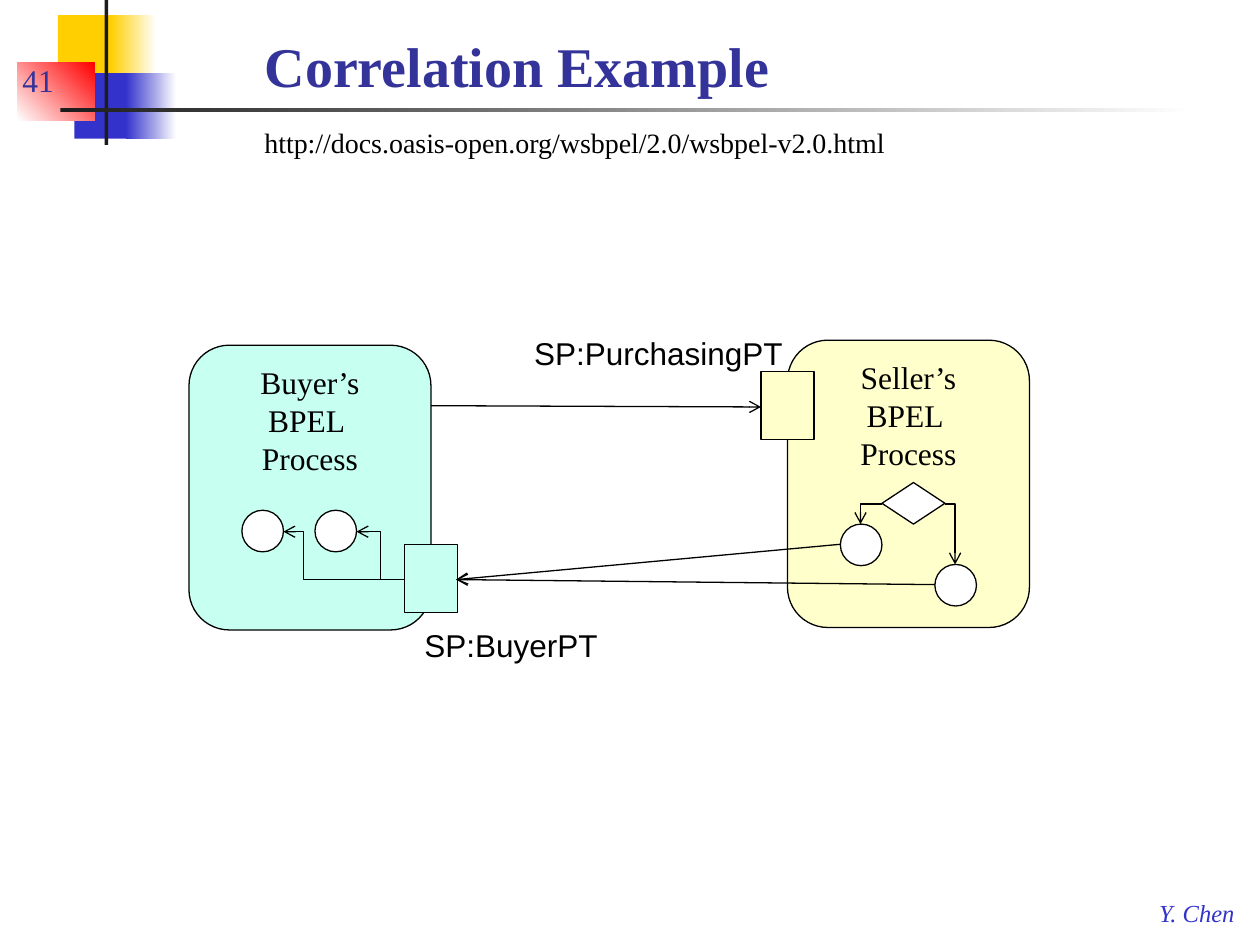
"""Build the Correlation Example slide with its two BPEL processes."""
from lxml.etree import SubElement
from pptx import Presentation
from pptx.dml.color import RGBColor
from pptx.enum.shapes import MSO_CONNECTOR, MSO_SHAPE
from pptx.enum.text import MSO_ANCHOR, MSO_AUTO_SIZE, PP_ALIGN
from pptx.oxml.ns import qn
from pptx.util import Inches, Pt

BLACK, WHITE, INK = "000000", "FFFFFF", "1C1C1C"
GOLD, BLUE, RED, NAVY = "FFCF01", "3333CC", "FF0000", "333399"
MINT, CREAM = "C7FFF0", "FFFFCC"
SERIF, SANS = "Times New Roman", "Arial"

TITLE = ("Correlation Example", (2, 0.15, 6.83, 0.68))
DECORATION = [
    ((0.46, 0.12, 0.48, 0.52), (GOLD,), 0),
    ((0.88, 0.12, 0.36, 0.52), (GOLD, WHITE), 0),
    ((0.59, 0.58, 0.46, 0.52), (BLUE,), 0),
    ((1, 0.58, 0.4, 0.52), (BLUE, WHITE), 0),
    ((0.14, 0.5, 0.61, 0.46), (WHITE, RED), 45),
    ((0.83, 0, 0.03, 1.15), (INK,), 0),
    ((0.48, 0.86, 9, 0.03), (INK, WHITE), 0),
]
LABELS = [
    ("Y. Chen", (9.1, 7.08, 0.82, 0.33), dict(size=14, color=BLUE, italic=True, wrap=False)),
    ("41", (0.08, 0.33, 0.78, 0.5), dict(color=NAVY, anchor=MSO_ANCHOR.BOTTOM, grow=False)),
    ("http://docs.oasis-open.org/wsbpel/2.0/wsbpel-v2.0.html", (2, 0.95, 7.33, 0.37), dict(size=16)),
    ("SP:PurchasingPT", (4.14, 2.6, 2.19, 0.4), dict(font=SANS, wrap=False)),
    ("SP:BuyerPT", (3.27, 4.92, 1.59, 0.4), dict(font=SANS, wrap=False)),
]
PROCESSES = [
    ("Buyer’s\nBPEL \nProcess", (1.5, 2.74, 1.92, 2.26), MINT),
    ("Seller’s\nBPEL \nProcess", (6.25, 2.7, 1.92, 2.28), CREAM),
]
PORTS = [((6.04, 2.95, 0.42, 0.54), CREAM), ((3.21, 4.32, 0.42, 0.54), MINT)]
ACTIVITIES = [(6.67, 4.16), (7.42, 4.48), (1.92, 4.05), (2.5, 4.05)]
ACTIVITY_SIZE = 0.33
DECISION = (7, 3.83, 0.5, 0.33)
MESSAGES = [
    ((3.42, 3.22), (6.04, 3.23)),
    ((6.67, 4.32), (3.62, 4.6)),
    ((7.42, 4.64), (3.62, 4.6)),
]
BRANCHES = [((7, 4), (6.83, 4.16)), ((7.5, 4), (7.58, 4.48))]
DELIVERIES = [((3.21, 4.6), (2.25, 4.22), 0.833), ((3.21, 4.6), (2.83, 4.22), 0.5)]


def rgb(value):
    """Turn a hex string into a colour."""
    return RGBColor.from_string(value)


def inches(values):
    """Turn numbers into lengths."""
    return [Inches(value) for value in values]


def write(holder, text, size=18, font=SERIF, color=BLACK, bold=False, italic=False,
          align=PP_ALIGN.LEFT, anchor=MSO_ANCHOR.TOP, wrap=True, grow=False):
    """Fill a shape with formatted text, one paragraph a line."""
    frame = holder.text_frame
    frame.text = text
    frame.word_wrap = wrap
    frame.vertical_anchor = anchor
    frame.auto_size = MSO_AUTO_SIZE.SHAPE_TO_FIT_TEXT if grow else MSO_AUTO_SIZE.NONE
    for paragraph in frame.paragraphs:
        paragraph.alignment = align
        for run in paragraph.runs:
            run.font.size, run.font.name = Pt(size), font
            run.font.bold, run.font.italic = bold, italic
            run.font.color.rgb = rgb(color)


def add_block(slide, preset, box, colors, angle=0, outlined=True):
    """Add a preset shape with a solid or two-colour gradient fill."""
    block = slide.shapes.add_shape(preset, *inches(box))
    block.shadow.inherit = False
    if len(colors) == 1:
        block.fill.solid()
        block.fill.fore_color.rgb = rgb(colors[0])
    else:
        block.fill.gradient()
        block.fill.gradient_angle = angle
        for stop, color in zip(block.fill.gradient_stops, colors):
            stop.color.rgb = rgb(color)
    if outlined:
        block.line.color.rgb = rgb(BLACK)
        block.line.width = Pt(0.75)
    else:
        block.line.fill.background()
    return block


def add_arrow(slide, start, end, kind=MSO_CONNECTOR.STRAIGHT):
    """Add a connector with an open arrowhead at its end."""
    arrow = slide.shapes.add_connector(kind, *inches(start + end))
    arrow.line.color.rgb = rgb(BLACK)
    arrow.line.width = Pt(0.75)
    properties = arrow._element.spPr
    SubElement(properties.find(qn("a:ln")), qn("a:tailEnd"), type="arrow")
    SubElement(properties, qn("a:effectLst"))
    return properties.find(qn("a:prstGeom"))


def main():
    """Lay out the slide and save it."""
    deck = Presentation()
    deck.slide_width, deck.slide_height = Inches(10), Inches(7.5)
    slide = deck.slides.add_slide(deck.slide_layouts[5])

    for box, colors, angle in DECORATION:
        add_block(slide, MSO_SHAPE.RECTANGLE, box, colors, angle, outlined=False)

    heading, box = TITLE
    title = slide.shapes.title
    title.left, title.top, title.width, title.height = inches(box)
    write(title, heading, size=32, color=NAVY, bold=True, anchor=MSO_ANCHOR.BOTTOM)

    for name, box, color in PROCESSES:
        process = add_block(slide, MSO_SHAPE.ROUNDED_RECTANGLE, box, (color,))
        write(process, name, align=PP_ALIGN.CENTER)
    for box, color in PORTS:
        add_block(slide, MSO_SHAPE.RECTANGLE, box, (color,))

    for start, end in MESSAGES:
        add_arrow(slide, start, end)
    for corner in ACTIVITIES:
        add_block(slide, MSO_SHAPE.OVAL, corner + (ACTIVITY_SIZE, ACTIVITY_SIZE), (WHITE,))
    add_block(slide, MSO_SHAPE.DIAMOND, DECISION, (WHITE,))
    for start, end in BRANCHES:
        add_arrow(slide, start, end, MSO_CONNECTOR.ELBOW).set("prst", "bentConnector2")
    for start, end, bend in DELIVERIES:
        geometry = add_arrow(slide, start, end, MSO_CONNECTOR.ELBOW)
        SubElement(geometry.find(qn("a:avLst")), qn("a:gd"),
                   name="adj1", fmla=f"val {round(bend * 100000)}")

    for text, box, style in LABELS:
        write(slide.shapes.add_textbox(*inches(box)), text, **{"grow": True, **style})

    deck.save("out.pptx")


if __name__ == "__main__":
    main()
